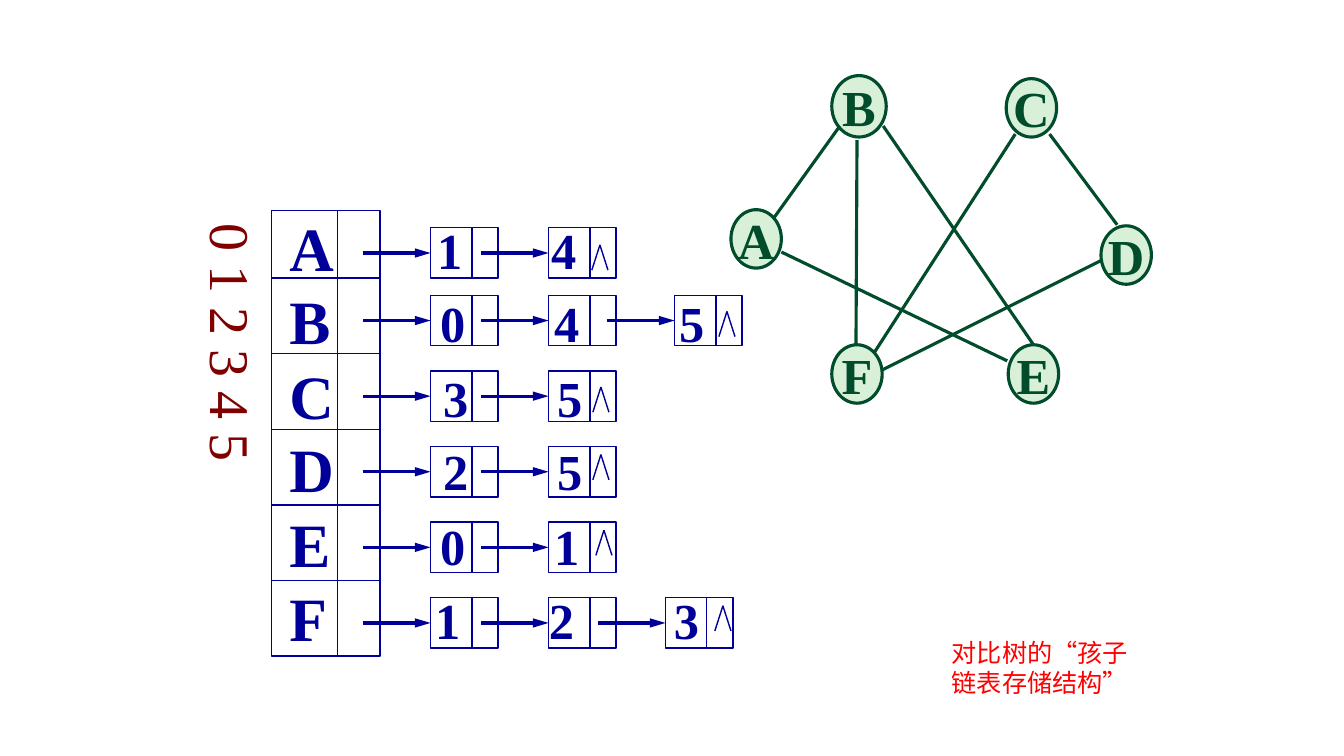
from lxml.etree import SubElement
from pptx import Presentation
from pptx.dml.color import RGBColor
from pptx.enum.shapes import MSO_CONNECTOR, MSO_SHAPE
from pptx.enum.text import MSO_ANCHOR, PP_ALIGN
from pptx.oxml.ns import qn
from pptx.util import Pt

PX = 9144  # 100 px to the inch
FONT = "Times New Roman"
INK = {"navy": "000099", "green": "004C2B", "mint": "B3E1B3",
       "maroon": "800000", "red": "FF0000"}

# Graph: node -> left, top, width, height
NODES = {
    "A": (725, 208, 50, 58), "B": (825, 75, 54, 61), "C": (998, 78, 50, 58),
    "D": (1092, 224, 50, 58), "E": (1000, 342, 50, 58), "F": (825, 342, 50, 58),
}
EDGES = [  # x1, y1, x2, y2
    (833, 125, 767, 217), (876, 125, 1025, 342), (775, 250, 999, 358),
    (1007, 133, 867, 350), (1041, 133, 1108, 223), (1093, 258, 875, 367),
    (850, 139, 849, 342),
]

# Adjacency lists: vertex, neighbours, box top, first digit centre,
# left of each box, tip of the end mark
ROWS = [
    ("A", "14", 226, 446, (427, 544), (595, 243)),
    ("B", "045", 293, 449, (427, 544, 669), (721, 309)),
    ("C", "35", 368, 452, (427, 544), (596, 384)),
    ("D", "25", 443, 452, (427, 544), (596, 451)),
    ("E", "01", 518, 449, (427, 544), (599, 526)),
    ("F", "123", 593, 444, (427, 544, 660), (717, 601)),
]
STEPS = (0, 113, 237)  # digit centres from the first one
PITCH = 73.4           # distance between text rows
INDEX = "0 1 2 3 4 5"
NOTE = "对比树的“孩子链表存储结构”"

prs = Presentation()
prs.slide_width, prs.slide_height = 1333 * PX, 750 * PX
slide = prs.slides.add_slide(prs.slide_layouts[6])
shapes = slide.shapes


def tint(name):
    return RGBColor.from_string(INK[name])


def line(x1, y1, x2, y2, color="navy", width=1, arrow=False):
    wire = shapes.add_connector(MSO_CONNECTOR.STRAIGHT,
                                x1 * PX, y1 * PX, x2 * PX, y2 * PX)
    wire.line.color.rgb = tint(color)
    wire.line.width = Pt(width)
    if arrow:
        SubElement(wire.line._get_or_add_ln(), qn("a:tailEnd"),
                   type="triangle", len="lg")
    SubElement(wire.element.spPr, qn("a:effectLst"))
    return wire


def shape(kind, x, y, w, h, color="navy", width=1):
    item = shapes.add_shape(kind, x * PX, y * PX, w * PX, h * PX)
    item.shadow.inherit = False
    item.fill.background()
    item.line.color.rgb = tint(color)
    item.line.width = Pt(width)
    return item


def write(frame, words, size, color, bold=False, align=PP_ALIGN.LEFT):
    para = frame.paragraphs[0]
    para.text = words
    para.alignment = align
    font = para.font
    font.name, font.size, font.bold = FONT, Pt(size), bold
    font.color.rgb = tint(color)


def text(words, x, y, w, h, size, color, bold=False,
         align=PP_ALIGN.LEFT, inset=True):
    box = shapes.add_textbox(x * PX, y * PX, w * PX, h * PX)
    frame = box.text_frame
    frame.word_wrap = True
    if not inset:
        frame.margin_left = frame.margin_right = 0
        frame.margin_top = frame.margin_bottom = 0
    write(frame, words, size, color, bold, align)
    return box


# Graph
for edge in EDGES:
    line(*edge, color="green", width=2.25)
for name, place in NODES.items():
    node = shape(MSO_SHAPE.OVAL, *place, color="green", width=2.25)
    node.fill.solid()
    node.fill.fore_color.rgb = tint("mint")
    shade = node.element.spPr.find(qn("a:solidFill"))[0]
    SubElement(shade, qn("a:alpha"), val="50000")
    frame = node.text_frame
    frame.word_wrap = False
    frame.vertical_anchor = MSO_ANCHOR.MIDDLE
    write(frame, name, 36, "green", True, PP_ALIGN.CENTER)

# Vertex column
shape(MSO_SHAPE.RECTANGLE, 269, 209, 108, 442)
line(335, 209, 335, 651)
for i in range(5):
    y = 276 + 75 * i
    line(269, y, 377, y)

# Linked lists
for i, (name, digits, top, first, lefts, tip) in enumerate(ROWS):
    drop = round(i * PITCH)
    text(name, 287, 208 + drop, 46, 70, 44, "navy", True, inset=False)
    for digit, left, step in zip(digits, lefts, STEPS):
        box = shape(MSO_SHAPE.RECTANGLE, left, top, 67, 50)
        line(left + 41, top, left + 41, top + 50)
        arrow = line(left - 67, top + 25, left, top + 25, width=2.25, arrow=True)
        arrow.end_connect(box, 1)
        text(digit, first + step - 15, 217 + drop, 30, 58, 36, "navy", True,
             PP_ALIGN.CENTER, inset=False)
    x, y = tip
    for side in (-8, 8):
        line(x, y, x + side, y + 25)

# Index and note
index = text(INDEX, 181, 212, 88, 475, 40, "maroon")
index.element.txBody.find(qn("a:bodyPr")).set("vert", "eaVert")
text(NOTE, 934, 627, 205, 71, 18, "red")

prs.save("out.pptx")
